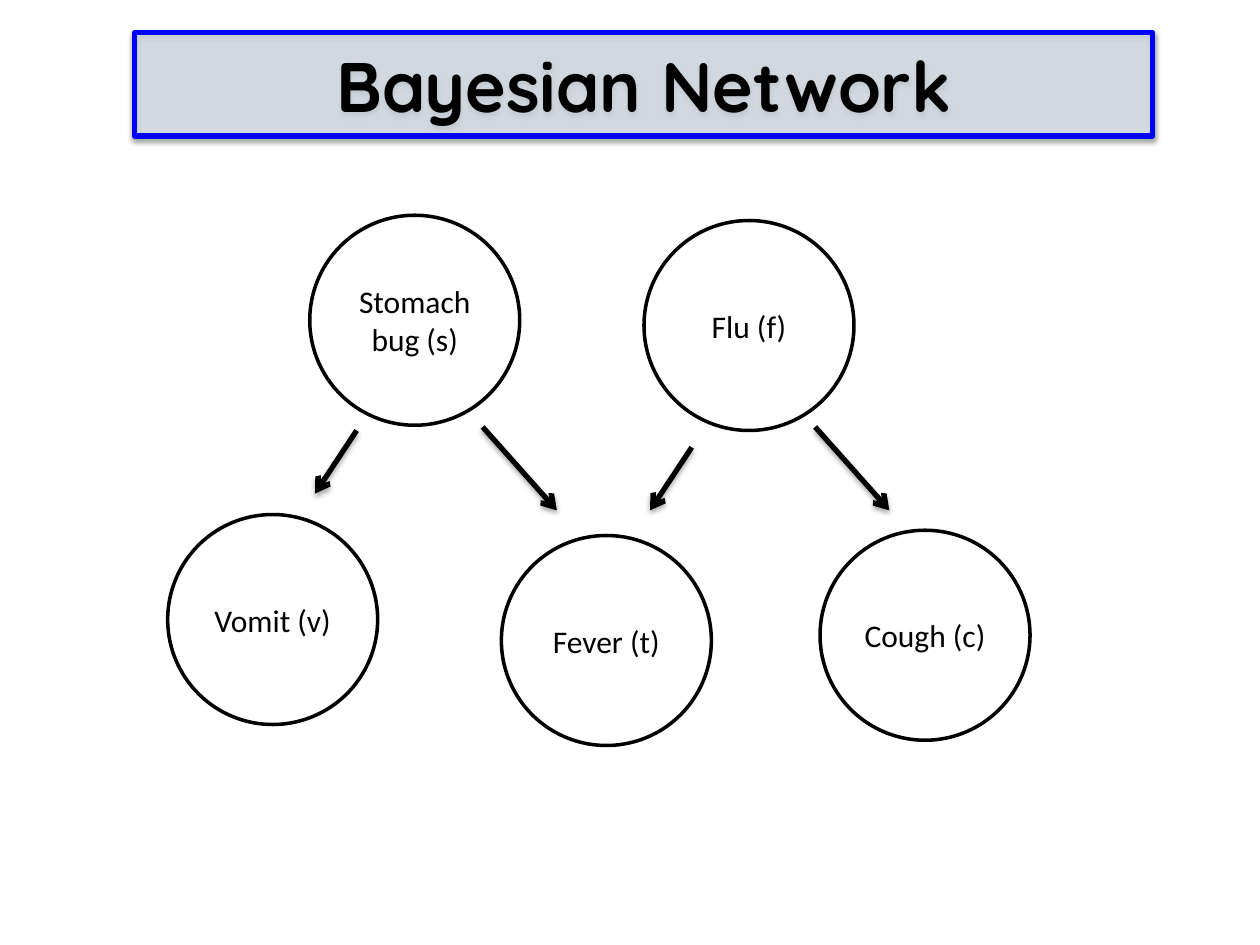
from dataclasses import dataclass

from lxml.etree import SubElement
from pptx import Presentation
from pptx.dml.color import RGBColor
from pptx.enum.shapes import MSO_CONNECTOR as Connector, MSO_SHAPE as Preset
from pptx.enum.text import MSO_ANCHOR as Anchor, MSO_AUTO_SIZE as AutoSize, PP_ALIGN as Align
from pptx.oxml.ns import qn
from pptx.util import Pt


@dataclass(frozen=True)
class Theme:
    ink: RGBColor = RGBColor(0, 0, 0)
    paper: RGBColor = RGBColor(255, 255, 255)
    banner: RGBColor = RGBColor(0xDC, 0xE6, 0xF2)
    frame: RGBColor = RGBColor(0, 0, 255)
    banner_opacity: int = 60
    title_font: str = "Quicksand"
    node_font: str = "Calibri"
    title_size: int = 40
    node_size: int = 18
    heavy: int = 3
    light: int = 2


THEME = Theme()
DIAMETER = 120

NODES = [
    ("Cough (c)", 468.6, 303),
    ("Fever (t)", 286.5, 306),
    ("Vomit (v)", 95.8, 294),
    ("Flu (f)", 368, 126),
    ("Stomach bug (s)", 177, 123),
]
LEFT_ARROW = (-23.8, 36)
RIGHT_ARROW = (42.4, 47.6)
ARROWS = [
    (203.8, 246, LEFT_ARROW),
    (395.3, 255.6, LEFT_ARROW),
    (275.8, 244, RIGHT_ARROW),
    (465.8, 244, RIGHT_ARROW),
]


def set_opacity(color_node, percent):
    SubElement(color_node, qn("a:alpha"), val=str(percent * 1000))


def cast_shadow(element, opacity, distance):
    effects = SubElement(element.spPr, qn("a:effectLst"))
    shadow = SubElement(
        effects, qn("a:outerShdw"), blurRad=str(Pt(3.1)), dist=str(Pt(distance)),
        dir="5400000", rotWithShape="0",
    )
    set_opacity(SubElement(shadow, qn("a:srgbClr"), val=str(THEME.ink)), opacity)


def paint(shape, fill, line, weight):
    shape.fill.solid()
    shape.fill.fore_color.rgb = fill
    shape.line.color.rgb = line
    shape.line.width = Pt(weight)


def write(shape, wording, font_name, size, bold=False):
    frame = shape.text_frame
    frame.text = wording
    frame.word_wrap = True
    frame.auto_size = AutoSize.NONE
    frame.vertical_anchor = Anchor.MIDDLE
    paragraph = frame.paragraphs[0]
    paragraph.alignment = Align.CENTER
    font = paragraph.runs[0].font
    font.name = font_name
    font.size = Pt(size)
    font.bold = bold
    font.color.rgb = THEME.ink


def add_title(slide, wording):
    title = slide.shapes.title
    title.left, title.top, title.width, title.height = Pt(77), Pt(18.7), Pt(581.8), Pt(59)
    paint(title, THEME.banner, THEME.frame, THEME.heavy)
    set_opacity(title.element.spPr.find(".//" + qn("a:srgbClr")), THEME.banner_opacity)
    cast_shadow(title.element, 38, 1.6)
    write(title, wording, THEME.title_font, THEME.title_size, bold=True)


def add_node(slide, wording, left, top):
    node = slide.shapes.add_shape(
        Preset.OVAL, Pt(left), Pt(top), Pt(DIAMETER), Pt(DIAMETER))
    node.shadow.inherit = False
    paint(node, THEME.paper, THEME.ink, THEME.light)
    write(node, wording, THEME.node_font, THEME.node_size)


def add_arrow(slide, x, y, reach):
    across, down = reach
    arrow = slide.shapes.add_connector(
        Connector.STRAIGHT, Pt(x), Pt(y), Pt(x + across), Pt(y + down))
    arrow.line.color.rgb = THEME.ink
    arrow.line.width = Pt(THEME.heavy)
    SubElement(arrow.line._get_or_add_ln(), qn("a:tailEnd"), type="arrow")
    cast_shadow(arrow._element, 35, 1.8)


def main():
    deck = Presentation()
    deck.slide_width, deck.slide_height = Pt(720), Pt(540)
    slide = deck.slides.add_slide(deck.slide_layouts[5])
    add_title(slide, "Bayesian Network")
    for node in NODES:
        add_node(slide, *node)
    for arrow in ARROWS:
        add_arrow(slide, *arrow)
    deck.save("out.pptx")


if __name__ == "__main__":
    main()
